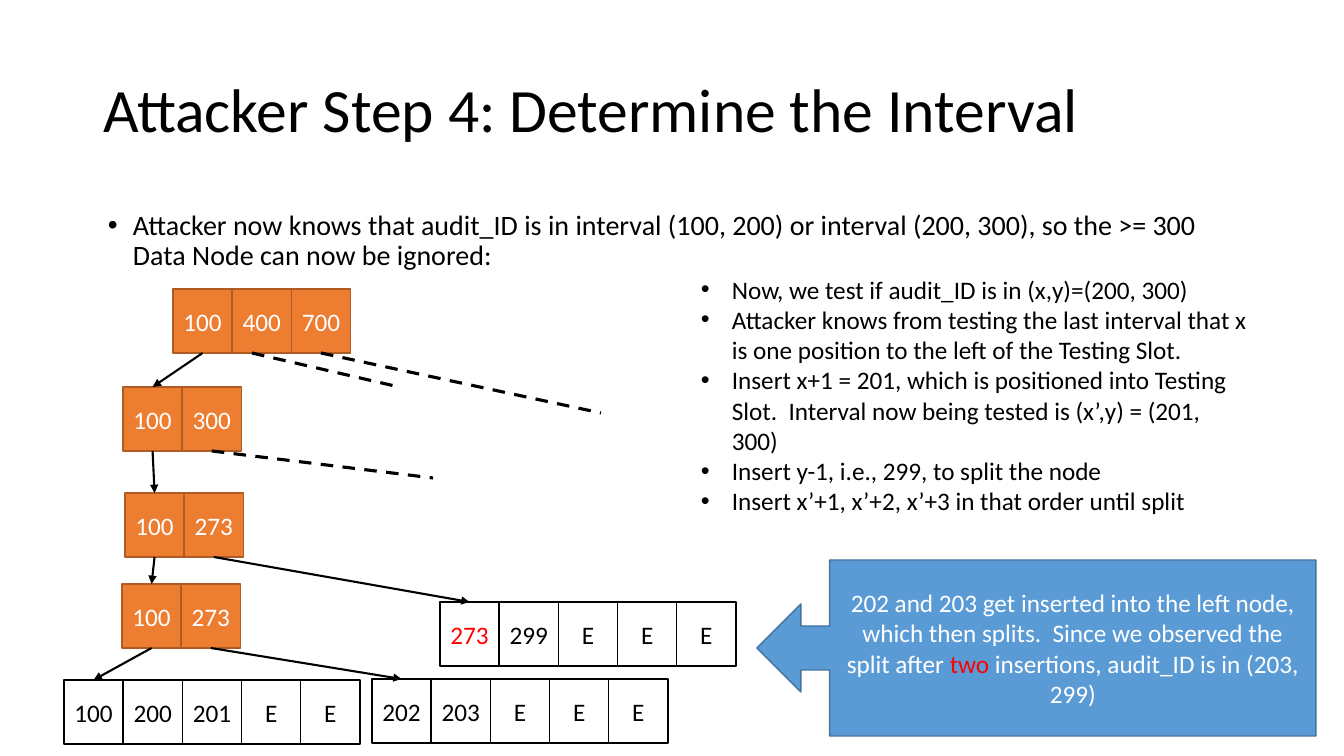
from lxml.etree import SubElement
from pptx import Presentation
from pptx.dml.color import RGBColor
from pptx.enum.dml import MSO_LINE
from pptx.enum.shapes import MSO_CONNECTOR, MSO_SHAPE
from pptx.enum.text import MSO_ANCHOR, PP_ALIGN
from pptx.oxml.ns import qn
from pptx.util import Pt

TITLE = "Attacker Step 4: Determine the Interval"
INTRO = [
    "Attacker now knows that audit_ID is in interval (100, 200) or interval "
    "(200, 300), so the >= 300 Data Node can now be ignored:",
]
STEPS = [
    "Now, we test if audit_ID is in (x,y)=(200, 300)",
    "Attacker knows from testing the last interval that x is one position "
    "to the left of the Testing Slot.",
    "Insert x+1 = 201, which is positioned into Testing Slot.  "
    "Interval now being tested is (x’,y) = (201, 300)",
    "Insert y-1, i.e., 299, to split the node",
    "Insert x’+1, x’+2, x’+3 in that order until split",
]
RESULT = [
    ("202 and 203 get inserted into the left node, which then splits.  "
     "Since we observed the split after ", "white"),
    ("two", "red"),
    (" insertions, audit_ID is in (203, 299)", "white"),
]

# name: (left, top, keys)
INNER = {
    "root": (173, 289, ["100", "400", "700"]),
    "second": (123, 387, ["100", "300"]),
    "third": (125, 493, ["100", "273"]),
    "fourth": (122, 584, ["100", "273"]),
}
LEAVES = {
    "left": (64, 680, ["100", "200", "201", "E", "E"]),
    "right": (440, 602, ["273", "299", "E", "E", "E"]),
    "split": (372, 679, ["202", "203", "E", "E", "E"]),
}
MARKED = ("right", 0)

# An end is a (node, slot) pair or an (x, y) point
ARROWS = [
    (("root", 0), ("second", 0)),
    (("second", 0), ("third", 0)),
    (("third", 0), ("fourth", 0)),
    (("third", 1), ("right", 0)),
    (("fourth", 0), ("left", 0)),
    (("fourth", 1), ("split", 0)),
]
STUBS = [
    ((252, 353), (399, 387)),
    (("root", 2), (601, 413)),
    (("second", 1), (433, 478)),
]

COLOR = {
    "black": "000000", "white": "FFFFFF", "red": "FF0000",
    "orange": "ED7D31", "rust": "AF5C24", "blue": "5B9BD5", "navy": "43739E",
}
FONT = "Calibri"
WIDE, HIGH = 1344, 756
CELL_W, CELL_H = 296 / 5, 64
BOTTOM, TOP = 2, 0


def px(n):
    return round(n * 914400 * 10 / 1008)


def rgb(name):
    return RGBColor.from_string(COLOR[name])


def style(para, size, color="black"):
    for run in para.runs:
        run.font.name = FONT
        run.font.size = Pt(size)
        run.font.color.rgb = rgb(color)


def add_box(host, kind, area, fill, edge):
    box = host.add_shape(kind, *map(px, area))
    box.shadow.inherit = False
    box.fill.solid()
    box.fill.fore_color.rgb = rgb(fill)
    box.line.color.rgb = rgb(edge)
    box.line.width = Pt(1)
    frame = box.text_frame
    frame.word_wrap = True
    frame.vertical_anchor = MSO_ANCHOR.MIDDLE
    frame.paragraphs[0].alignment = PP_ALIGN.CENTER
    return box


def add_list(area, lines, size, indent, spacing):
    frame = shapes.add_textbox(*map(px, area)).text_frame
    frame.word_wrap = True
    frame.text = "\n".join(lines)
    for para in frame.paragraphs:
        para.line_spacing = spacing
        style(para, size)
        props = para._p.get_or_add_pPr()
        props.set("marL", str(px(indent)))
        props.set("indent", str(-px(indent)))
        SubElement(props, qn("a:buFont"), typeface="Arial")
        SubElement(props, qn("a:buChar"), char="•")


def add_row(host, name, node, fill, edge, ink):
    """Draw one tree node and keep its slots for the links."""
    left, top, keys = node
    for i, key in enumerate(keys):
        area = (left + i * CELL_W, top, CELL_W, CELL_H)
        box = add_box(host, MSO_SHAPE.RECTANGLE, area, fill, edge)
        para = box.text_frame.paragraphs[0]
        para.text = key
        style(para, 18, "red" if (name, i) == MARKED else ink)
        slots[name, i] = box


def add_link(start, end, width):
    ends = [(0, 0) if e in slots else e for e in (start, end)]
    link = shapes.add_connector(
        MSO_CONNECTOR.STRAIGHT, *(px(n) for point in ends for n in point))
    if start in slots:
        link.begin_connect(slots[start], BOTTOM)
    if end in slots:
        link.end_connect(slots[end], TOP)
    link.line.color.rgb = rgb("black")
    link.line.width = Pt(width)
    SubElement(link._element.spPr, qn("a:effectLst"))
    return link.line


deck = Presentation()
deck.slide_width, deck.slide_height = px(WIDE), px(HIGH)
shapes = deck.slides.add_slide(deck.slide_layouts[5]).shapes
slots = {}

title = shapes.title
title.left, title.top, title.width, title.height = map(px, (93, 40, 1159, 146))
title.text_frame.text = TITLE
title.text_frame.vertical_anchor = MSO_ANCHOR.MIDDLE
head = title.text_frame.paragraphs[0]
head.alignment = PP_ALIGN.LEFT
head.line_spacing = 0.9
style(head, 44)

add_list((98, 206, 1159, 76), INTRO, 20, 25, 0.9)
add_list((691, 269, 566, 254), STEPS, 18, 31, 1.0)

for name, node in INNER.items():
    add_row(shapes, name, node, "orange", "rust", "white")
for name, node in LEAVES.items():
    group = shapes.add_group_shape()
    add_row(group.shapes, name, node, "white", "black", "black")

for start, end in STUBS:
    add_link(start, end, 2.25).dash_style = MSO_LINE.DASH
for start, end in ARROWS:
    line = add_link(start, end, 1.5)
    SubElement(line._get_or_add_ln(), qn("a:tailEnd"), type="triangle")

note = add_box(shapes, MSO_SHAPE.LEFT_ARROW_CALLOUT, (757, 560, 559, 176),
               "blue", "navy")
for i, ratio in enumerate((0.25, 0.25, 0.25, 0.87)):
    note.adjustments[i] = ratio
para = note.text_frame.paragraphs[0]
for text, _ in RESULT:
    para.add_run().text = text
style(para, 18)
for run, (_, ink) in zip(para.runs, RESULT):
    run.font.color.rgb = rgb(ink)

deck.save("out.pptx")
